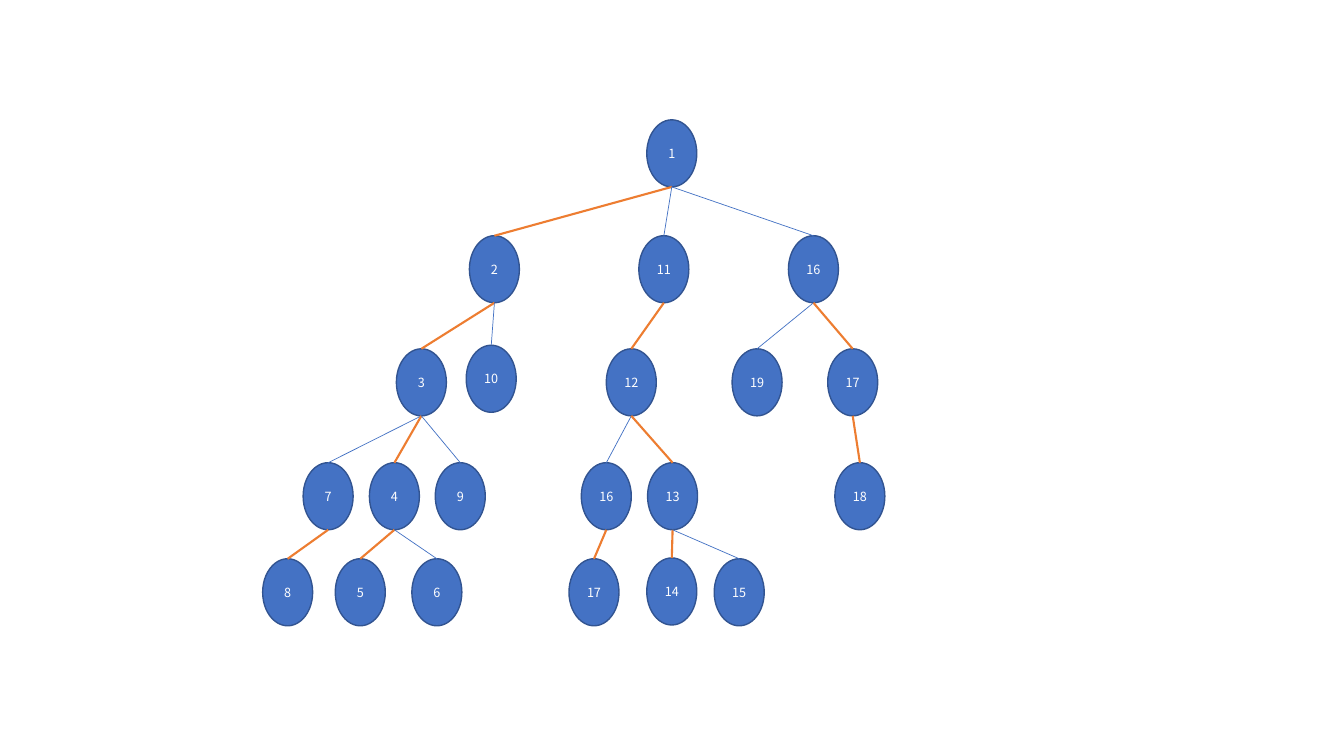
from lxml.etree import SubElement
from pptx import Presentation
from pptx.dml.color import RGBColor
from pptx.enum.shapes import MSO_CONNECTOR, MSO_SHAPE
from pptx.enum.text import MSO_ANCHOR, PP_ALIGN
from pptx.oxml.ns import qn
from pptx.util import Cm, Pt

# Parent -> children, with the heavy child that continues each chain.
# Keys are level and label, since labels 16 and 17 each appear twice.
CHILDREN = {
    (0, "1"): ["2", "11", "16"],
    (1, "2"): ["3", "10"],
    (1, "11"): ["12"],
    (1, "16"): ["19", "17"],
    (2, "3"): ["7", "4", "9"],
    (2, "12"): ["16", "13"],
    (2, "17"): ["18"],
    (3, "7"): ["8"],
    (3, "4"): ["5", "6"],
    (3, "16"): ["17"],
    (3, "13"): ["14", "15"],
}
HEAVY_CHILD = {
    (0, "1"): "2", (1, "2"): "3", (1, "11"): "12", (1, "16"): "17",
    (2, "3"): "4", (2, "12"): "13", (2, "17"): "18", (3, "7"): "8",
    (3, "4"): "5", (3, "16"): "17", (3, "13"): "14",
}

# Centre of each node across the slide, level by level, in cm
LEVEL_CENTRES = [
    {"1": 16.93},
    {"2": 12.46, "11": 16.73, "16": 20.5},
    {"3": 10.62, "10": 12.38, "12": 15.91, "19": 19.08, "17": 21.49},
    {"7": 8.27, "4": 9.94, "9": 11.6, "16": 15.28, "13": 16.95, "18": 21.67},
    {"8": 7.25, "5": 9.08, "6": 11.01, "17": 14.97, "14": 16.93, "15": 18.63},
]
LEVEL_TOPS = [3.02, 5.94, 8.79, 11.66, 14.08]
RAISED = {(2, "10"): 0.09, (4, "14"): 0.02}
NODE_WIDTH, NODE_HEIGHT = 1.26, 1.69

FONT = "Noto Sans CJK SC"
NODE_FILL = RGBColor(0x44, 0x72, 0xC4)
NODE_OUTLINE = RGBColor(0x32, 0x54, 0x91)
HEAVY_EDGE = RGBColor(0xED, 0x7D, 0x31)
LABEL_COLOR = RGBColor(0xFF, 0xFF, 0xFF)


def write_text(frame, text, *, size, color, align=PP_ALIGN.CENTER):
    frame.word_wrap = False
    frame.vertical_anchor = MSO_ANCHOR.MIDDLE
    paragraph = frame.paragraphs[0]
    paragraph.text = text
    paragraph.alignment = align
    paragraph.font.name = FONT
    paragraph.font.size = Pt(size)
    paragraph.font.color.rgb = color


def node_top(level, label):
    return LEVEL_TOPS[level] - RAISED.get((level, label), 0)


def add_node(slide, level, label):
    left = LEVEL_CENTRES[level][label] - NODE_WIDTH / 2
    node = slide.shapes.add_shape(
        MSO_SHAPE.OVAL, Cm(left), Cm(node_top(level, label)),
        Cm(NODE_WIDTH), Cm(NODE_HEIGHT))
    node.shadow.inherit = False
    node.fill.solid()
    node.fill.fore_color.rgb = NODE_FILL
    node.line.color.rgb = NODE_OUTLINE
    node.line.width = Pt(1)
    write_text(node.text_frame, label, size=9, color=LABEL_COLOR)


def add_edge(slide, level, parent, child):
    """Join the foot of the parent to the top of the child one level down."""
    edge = slide.shapes.add_connector(
        MSO_CONNECTOR.STRAIGHT,
        Cm(LEVEL_CENTRES[level][parent]),
        Cm(node_top(level, parent) + NODE_HEIGHT),
        Cm(LEVEL_CENTRES[level + 1][child]),
        Cm(node_top(level + 1, child)))
    heavy = HEAVY_CHILD[level, parent] == child
    edge.line.color.rgb = HEAVY_EDGE if heavy else NODE_FILL
    edge.line.width = Pt(1.5 if heavy else 0.5)
    SubElement(edge._element.spPr, qn("a:effectLst"))


def main():
    prs = Presentation()
    prs.slide_width, prs.slide_height = Cm(33.87), Cm(19.05)
    slide = prs.slides.add_slide(prs.slide_layouts[6])
    for level, centres in enumerate(LEVEL_CENTRES):
        for label in centres:
            add_node(slide, level, label)
    for (level, parent), children in CHILDREN.items():
        for child in children:
            add_edge(slide, level, parent, child)
    prs.save("out.pptx")


if __name__ == "__main__":
    main()
